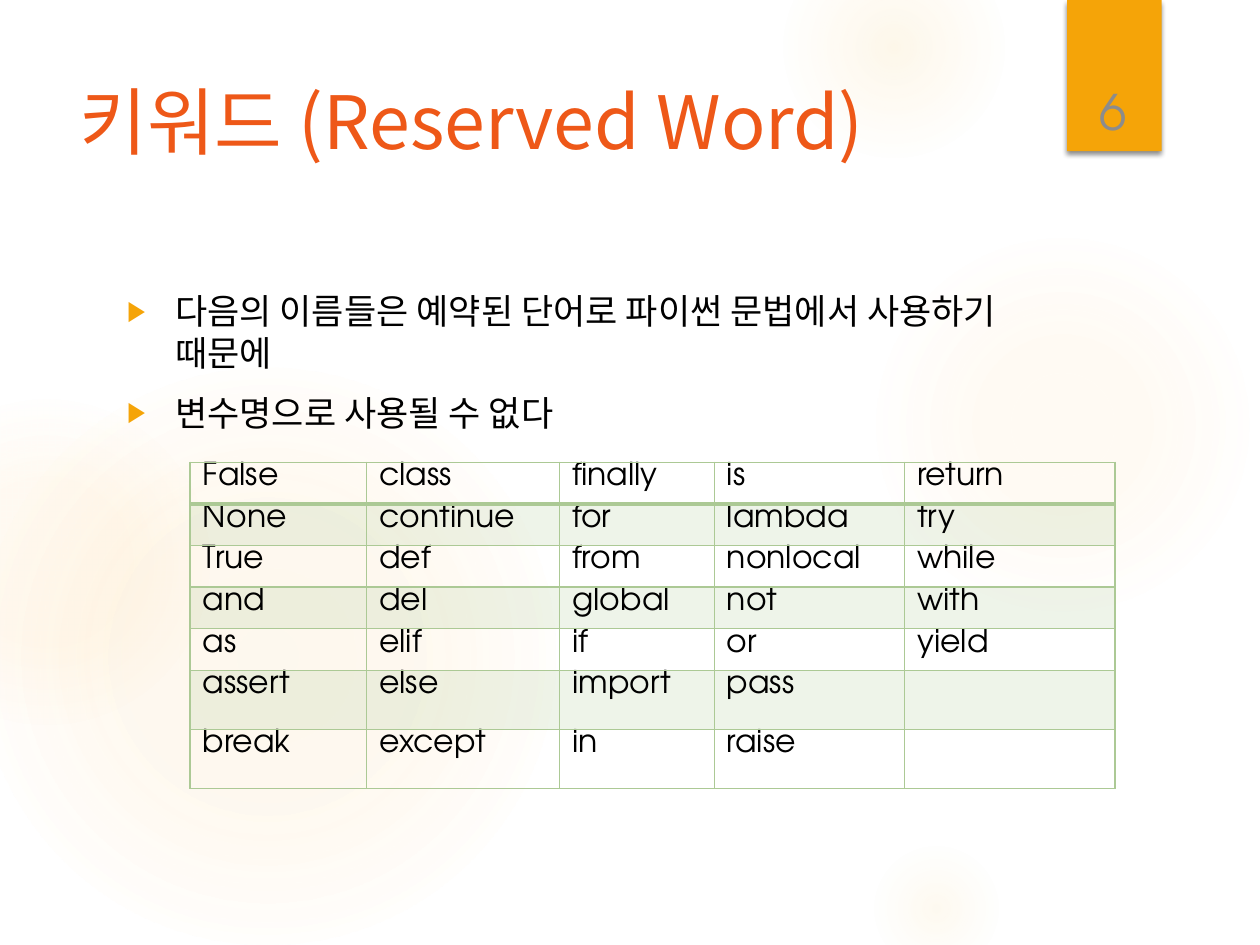
from lxml import etree
from pptx import Presentation
from pptx.dml.color import RGBColor
from pptx.enum.shapes import MSO_SHAPE
from pptx.enum.text import MSO_ANCHOR, MSO_AUTO_SIZE, PP_ALIGN
from pptx.oxml.ns import qn
from pptx.util import Inches, Pt

OVAL, RECTANGLE = MSO_SHAPE.OVAL, MSO_SHAPE.RECTANGLE
TOP, BOTTOM = MSO_ANCHOR.TOP, MSO_ANCHOR.BOTTOM
LEFT, CENTER = PP_ALIGN.LEFT, PP_ALIGN.CENTER
FIXED_SIZE = MSO_AUTO_SIZE.NONE

KOREAN = "Noto Sans CJK KR"
LATIN = "TeX Gyre Adventor"
COLORS = {
    "title": "EE5818", "text": "000000", "number": "8C8C8C",
    "accent": "F5A408", "glow": "FAC96A", "table": "ACC995",
}

TITLE = "키워드 (Reserved Word)"
BULLETS = [
    "다음의 이름들은 예약된 단어로 파이썬 문법에서 사용하기 때문에",
    "변수명으로 사용될 수 없다",
]
KEYWORDS = [
    ["False", "class", "finally", "is", "return"],
    ["None", "continue", "for", "lambda", "try"],
    ["True", "def", "from", "nonlocal", "while"],
    ["and", "del", "global", "not", "with"],
    ["as", "elif", "if", "or", "yield"],
    ["assert", "else", "import", "pass", ""],
    ["break", "except", "in", "raise", ""],
]
PAGE_NUMBER = "6"
COLUMN_WIDTHS = [1.4, 1.53, 1.23, 1.51, 1.67]
FULL_ROW, SHORT_ROW = 0.33, 0.47
GLOWS = [
    (6.89, 1.83, 3.08, [(0, 7), (36, 6), (69, 0)]),
    (6.22, -0.5, 1.75, [(0, 14), (36, 7), (73, 0)]),
    (6.89, 6.67, 1.08, [(0, 10), (31, 5), (66, 0)]),
    (-0.17, 2.92, 4.58, [(0, 11), (36, 10), (75, 0)]),
    (-0.92, 3.17, 2.58, [(0, 8), (36, 8), (72, 0)]),
]


def add_xml(parent, tag, **attributes):
    values = {name: str(value) for name, value in attributes.items()}
    return etree.SubElement(parent, qn(f"a:{tag}"), values)


def add_color(parent, color, opacity=100):
    node = add_xml(parent, "srgbClr", val=COLORS[color])
    if opacity < 100:
        add_xml(node, "alpha", val=opacity * 1000)


def write(para, text, size, font, color, align=LEFT, line=None, before=0):
    para.alignment = align
    para.space_before = Pt(before)
    if line:
        para.line_spacing = Pt(line)
    span = para.add_run()
    span.text = text
    span.font.size = Pt(size)
    span.font.name = font
    span.font.color.rgb = RGBColor.from_string(COLORS[color])
    add_xml(span.font._element, "ea", typeface=font)


def place(box, left, top, width, height, anchor=TOP):
    box.left, box.top = Inches(left), Inches(top)
    box.width, box.height = Inches(width), Inches(height)
    frame = box.text_frame
    frame.word_wrap = True
    frame.auto_size = FIXED_SIZE
    frame.vertical_anchor = anchor
    return frame


def add_bare_shape(slide, kind, left, top, width, height):
    shape = slide.shapes.add_shape(
        kind, Inches(left), Inches(top), Inches(width), Inches(height))
    shape.shadow.inherit = False
    shape.line.fill.background()
    return shape


def add_glow(slide, left, top, size, stops):
    properties = add_bare_shape(slide, OVAL, left, top, size, size)._element.spPr
    gradient = etree.Element(qn("a:gradFill"), rotWithShape="1")
    stop_list = add_xml(gradient, "gsLst")
    for position, opacity in stops:
        add_color(add_xml(stop_list, "gs", pos=position * 1000), "glow", opacity)
    center = dict.fromkeys("ltrb", 50000)
    add_xml(add_xml(gradient, "path", path="circle"), "fillToRect", **center)
    properties.insert(2, gradient)


def add_ribbon(slide):
    ribbon = add_bare_shape(slide, RECTANGLE, 8.47, 0, 0.75, 1.2)
    ribbon.fill.solid()
    ribbon.fill.fore_color.rgb = RGBColor.from_string(COLORS["accent"])
    effects = ribbon._element.spPr.find(qn("a:effectLst"))
    shadow = add_xml(effects, "outerShdw", blurRad=Pt(3), dist=Pt(2),
                     dir=90 * 60000, rotWithShape=0)
    add_color(shadow, "text", 45)


def add_bullet(para):
    properties = para._p.get_or_add_pPr()
    properties.set("marL", str(Inches(0.38)))
    properties.set("indent", str(-Inches(0.38)))
    add_color(add_xml(properties, "buClr"), "accent")
    add_xml(properties, "buSzPct", val=80000)
    add_xml(properties, "buChar", char="▶")


def style_cell(cell, row):
    cell.margin_top = cell.margin_bottom = 0
    properties = cell._tc.get_or_add_tcPr()
    for side in "LRTB":
        header_rule = (row, side) in ((0, "B"), (1, "T"))
        border = add_xml(properties, f"ln{side}", w=Pt(2 if header_rule else 1))
        add_color(add_xml(border, "solidFill"), "table")
    if row % 2:
        add_color(add_xml(properties, "solidFill"), "table", 20)
    else:
        add_xml(properties, "noFill")


def add_keyword_table(slide):
    heights = [FULL_ROW if row < 5 else SHORT_ROW for row in range(len(KEYWORDS))]
    table = slide.shapes.add_table(
        len(KEYWORDS), len(COLUMN_WIDTHS), Inches(1.51), Inches(3.67),
        Inches(sum(COLUMN_WIDTHS)), Inches(sum(heights))).table
    table.first_row = table.horz_banding = False
    for column, width in zip(table.columns, COLUMN_WIDTHS):
        column.width = Inches(width)
    for index, (row, height, words) in enumerate(zip(table.rows, heights, KEYWORDS)):
        row.height = Inches(height)
        for cell, word in zip(row.cells, words):
            style_cell(cell, index)
            if word:
                write(cell.text_frame.paragraphs[0], word, 18, LATIN, "text")


def main():
    deck = Presentation()
    deck.slide_width, deck.slide_height = Inches(10), Inches(7.5)
    slide = deck.slides.add_slide(deck.slide_layouts[1])
    title, body = slide.placeholders

    for glow in GLOWS:
        add_glow(slide, *glow)
    add_ribbon(slide)
    for placeholder in (title, body):
        slide.shapes._spTree.append(placeholder._element)

    frame = place(title, 0.53, 0.5, 7.72, 1.53)
    write(frame.paragraphs[0], TITLE, 42, KOREAN, "title", line=54)

    frame = place(body, 0.91, 2.25, 7.34, 4.59)
    for index, text in enumerate(BULLETS):
        para = frame.add_paragraph() if index else frame.paragraphs[0]
        write(para, text, 20, KOREAN, "text", line=24, before=10)
        add_bullet(para)

    add_keyword_table(slide)

    number = slide.shapes.add_textbox(0, 0, 0, 0)
    frame = place(number, 8.49, 0.32, 0.69, 0.84, BOTTOM)
    write(frame.paragraphs[0], PAGE_NUMBER, 28, LATIN, "number", align=CENTER)

    deck.save("out.pptx")


if __name__ == "__main__":
    main()
